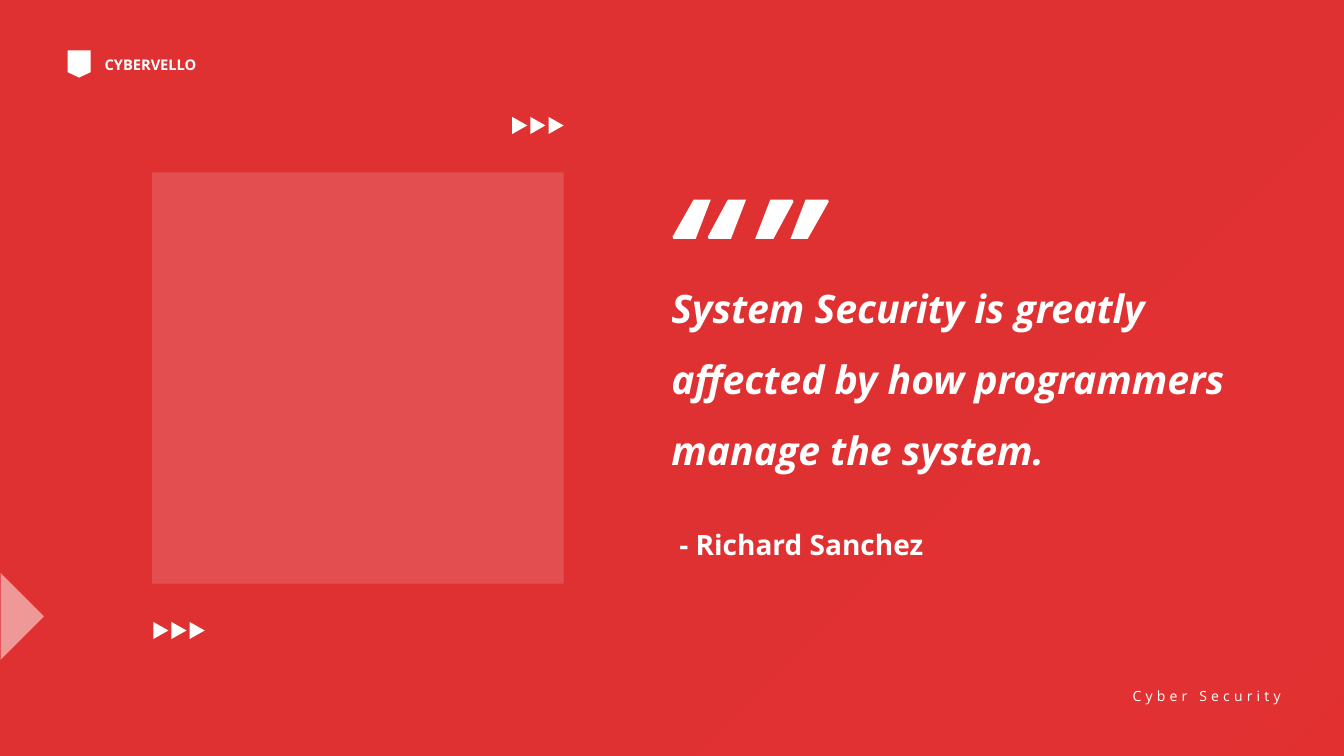
from pptx import Presentation
from pptx.dml.color import RGBColor
from pptx.enum import shapes as kinds, text as txt
from pptx.oxml import parse_xml
from pptx.oxml.ns import nsdecls, qn
from pptx.util import Inches, Pt

WHITE = RGBColor(0xFF, 0xFF, 0xFF)
RED = RGBColor(0xF4, 0x33, 0x34)
FONT = "Open Sans"
KIND = kinds.MSO_SHAPE
ALIGN = txt.PP_ALIGN

BRAND = "CYBERVELLO"
TOPIC = "Cyber Security"
QUOTE = "System Security is greatly affected by how programmers manage the system."
AUTHOR = "- Richard Sanchez"
STOPS = [(0, "202020"), (50, "202020"), (88, "442424"), (100, "441C1C")]
ARROWS = [(5.07, 1.17), (1.51, 6.18)]
STEP = 0.18
MARKS = [(6.67, 0), (7.49, 180)]
STROKES = [
    [(55, 0), (73, 0), (58, 39), (36, 39), (35, 37)],
    [(21, 0), (38, 0), (23, 39), (1, 39), (0, 37)],
]


def paint(shape, color=WHITE, alpha=100):
    """Give a shape a flat fill with no line or shadow."""
    shape.shadow.inherit = False
    shape.line.fill.background()
    shape.fill.solid()
    shape.fill.fore_color.rgb = color
    if alpha < 100:
        tint = shape.element.spPr.find(".//" + qn("a:srgbClr"))
        tint.append(parse_xml(f'<a:alpha {nsdecls("a")} val="{alpha * 1000}"/>'))


def block(slide, kind, at, color=WHITE, alpha=100, turn=0):
    """Add a preset shape."""
    shape = slide.shapes.add_shape(kind, *map(Inches, at))
    shape.rotation = turn
    paint(shape, color, alpha)


def write(slide, words, at, size, box=None, bold=True, italic=False,
          align=ALIGN.LEFT, lead=None, wrap=True, track=0):
    """Put formatted text in a new text box or in a given placeholder."""
    place = [Inches(n) for n in at]
    if box is None:
        box = slide.shapes.add_textbox(*place)
    box.left, box.top, box.width, box.height = place
    frame = box.text_frame
    frame.word_wrap = wrap
    frame.auto_size = txt.MSO_AUTO_SIZE.SHAPE_TO_FIT_TEXT
    frame.vertical_anchor = txt.MSO_ANCHOR.TOP
    para = frame.paragraphs[0]
    para.alignment, para.line_spacing = align, lead
    run = para.add_run()
    run.text = words
    font = run.font
    font.name, font.size = FONT, Pt(size)
    font.bold, font.italic = bold, italic
    font.color.rgb = WHITE
    if track:
        box.element.find(".//" + qn("a:rPr")).set("spc", str(track * 100))


def shade(slide):
    """Set the gradient background."""
    fill = slide.background.fill
    fill.gradient()
    fill.gradient_angle = 315
    stops = slide.element.find(".//" + qn("a:gsLst"))
    for old in list(stops):
        stops.remove(old)
    for pos, color in STOPS:
        stops.append(parse_xml(
            f'<a:gs {nsdecls("a")} pos="{pos * 1000}"><a:srgbClr val="{color}"/></a:gs>'))


def quotes(slide):
    """Draw the opening and closing quote marks."""
    for left, turn in MARKS:
        first, second = STROKES
        pen = slide.shapes.build_freeform(*first[0], scale=Inches(0.01))
        pen.add_line_segments(first[1:], close=True)
        pen.move_to(*second[0])
        pen.add_line_segments(second[1:], close=True)
        mark = pen.convert_to_shape(Inches(left), Inches(1.98))
        mark.left, mark.top = Inches(left), Inches(1.98)
        mark.rotation = turn
        paint(mark)


def main():
    """Build and save the quote slide."""
    deck = Presentation()
    deck.slide_width, deck.slide_height = Inches(13.33), Inches(7.5)
    slide = deck.slides.add_slide(deck.slide_layouts[5])
    shade(slide)
    block(slide, KIND.RECTANGLE, (0, 0, 13.33, 7.5), RED, 90)
    block(slide, KIND.RECTANGLE, (1.51, 1.71, 4.08, 4.08), alpha=15)
    block(slide, KIND.FLOWCHART_OFFPAGE_CONNECTOR, (0.67, 0.5, 0.23, 0.27))
    block(slide, KIND.RIGHT_TRIANGLE, (-0.3, 5.81, 0.61, 0.61), alpha=50, turn=225)
    for left, top in ARROWS:
        for i in range(3):
            block(slide, KIND.ISOSCELES_TRIANGLE,
                  (left + i * STEP, top, 0.17, 0.15), turn=90)
    quotes(slide)
    title = slide.shapes.title
    title.element.getparent().append(title.element)
    write(slide, QUOTE, (6.56, 2.54, 5.94, 2.22), 28, box=title, italic=True, lead=1.5)
    write(slide, AUTHOR, (6.64, 5.02, 2.73, 0.55), 20, align=ALIGN.JUSTIFY, lead=1.5)
    write(slide, BRAND, (0.94, 0.5, 1.18, 0.28), 10.5, wrap=False)
    write(slide, TOPIC, (11.01, 6.77, 1.79, 0.27), 10, bold=False,
          align=ALIGN.RIGHT, wrap=False, track=3)
    deck.save("out.pptx")


if __name__ == "__main__":
    main()
